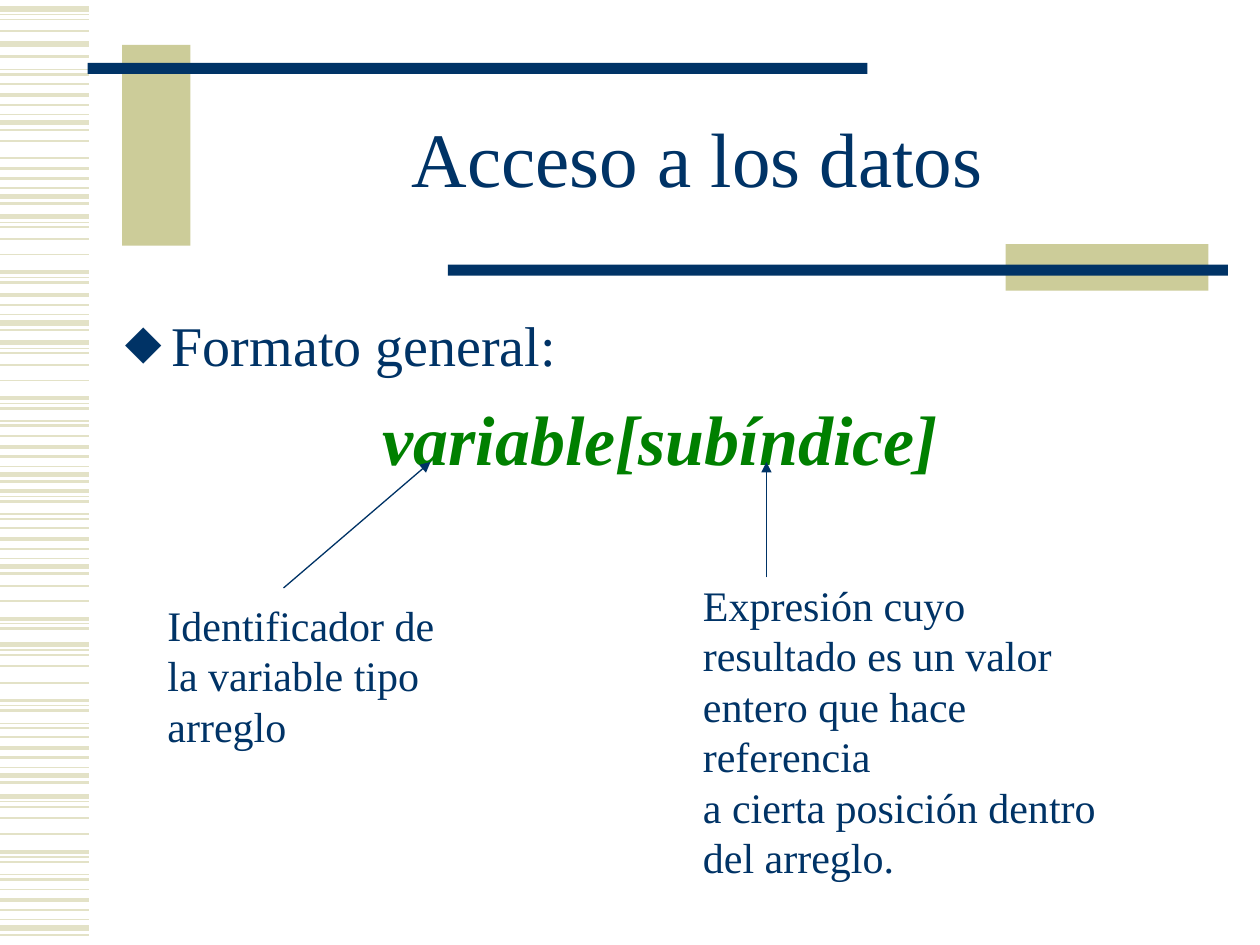
from lxml import etree
from pptx import Presentation
from pptx import util as u
from pptx.dml.color import RGBColor
from pptx.enum import shapes, text
from pptx.oxml import ns

NAVY = RGBColor(0x00, 0x33, 0x66)
OLIVE = RGBColor(0xCC, 0xCC, 0x99)
PALE = RGBColor(0xE3, 0xE2, 0xC7)
GREEN = RGBColor(0x00, 0x80, 0x00)

HEAD = [(0, 3), (3.2, 0.75), (6, 1), (12.6, 1)]
SWELL = [(0, 1), (6.1, 2.25), (11.8, 1.5), (17.3, 0.75), (22, 3), (26, 1.5)]
TAIL = [(0, 2.25), (3, 0.75), (5.8, 1.5), (13, 0.75), (15.8, 1.5)]
BANDS = [
    (HEAD, [5.2, 123.8, 195.8, 368.2, 455]),
    (SWELL, [48.2, 90.2, 249.1, 301.9, 421.2, 508.3]),
    (SWELL[1:], [162.6]),
    (TAIL, [227.5, 280.8, 400.3, 486.7]),
    (TAIL[:3], [155.5, 353.5]),
    ([(0, 1)], [80.6, 145.4, 217.4, 334.8, 343.4, 390.2, 476.6]),
    ([(0, 3), (7.2, 1.5), (14.4, 0.75), (17.3, 1.5)], [25.2]),
]


def add(parent, tag, **attrs):
    return etree.SubElement(parent, ns.qn(tag), **attrs)


def write(para, words, size=24, color=NAVY, face="Times New Roman", bold=False,
          slant=False, align=text.PP_ALIGN.LEFT, pitch=1.2, before=0,
          hang=0, mark=None):
    props = para._p.get_or_add_pPr()
    if hang:
        props.set("marL", str(u.Pt(hang)))
        props.set("indent", str(-u.Pt(hang)))
    if mark:
        tint = add(props, "a:buClr")
        add(tint, "a:srgbClr", val=str(color))
        add(props, "a:buFont", typeface=face)
        add(props, "a:buChar", char=mark)
    para.alignment = align
    para.line_spacing = u.Pt(round(size * pitch, 1))
    para.space_before = u.Pt(before)
    run = para.add_run()
    run.text = words
    font = run.font
    font.name, font.size = face, u.Pt(size)
    font.bold, font.italic = bold, slant
    font.color.rgb = color


class Deck:
    def __init__(self, width, height):
        self.show = Presentation()
        self.show.slide_width = u.Pt(width)
        self.show.slide_height = u.Pt(height)
        self.slide = self.show.slides.add_slide(self.show.slide_layouts[6])

    def bar(self, left, top, width, height, color):
        box = self.slide.shapes.add_shape(
            shapes.MSO_SHAPE.RECTANGLE, *map(u.Pt, (left, top, width, height)))
        box.shadow.inherit = False
        box.fill.solid()
        box.fill.fore_color.rgb = color
        box.line.fill.background()

    def line(self, start, end, color=NAVY, weight=0.75, arrow=False):
        link = self.slide.shapes.add_connector(
            shapes.MSO_CONNECTOR.STRAIGHT, *map(u.Pt, (*start, *end)))
        link.line.color.rgb = color
        link.line.width = u.Pt(weight)
        if arrow:
            add(link.line._get_or_add_ln(), "a:tailEnd", type="triangle")
        add(link._element.spPr, "a:effectLst")

    def text(self, left, top, width, height, items, wrap=True,
             anchor=text.MSO_ANCHOR.TOP):
        box = self.slide.shapes.add_textbox(*map(u.Pt, (left, top, width, height)))
        frame = box.text_frame
        frame.word_wrap = wrap
        frame.vertical_anchor = anchor
        for spot, (words, style) in enumerate(items):
            para = frame.add_paragraph() if spot else frame.paragraphs[0]
            write(para, words, **style)

    def note(self, left, top, width, height, lines):
        self.text(left, top, width, height, [(words, {}) for words in lines], wrap=False)


def main():
    deck = Deck(720, 540)
    for band, starts in BANDS:
        for top in starts:
            for step, weight in band:
                y = top + step
                deck.line((0, y), (51, y), PALE, weight)

    deck.bar(69.8, 25.7, 39, 114.6, OLIVE)
    deck.bar(50, 36, 445.7, 6.3, NAVY)
    deck.bar(574.6, 139.5, 116, 26.6, OLIVE)
    deck.bar(256, 151.3, 445.7, 6.3, NAVY)

    center = text.PP_ALIGN.CENTER
    deck.text(108, 48.2, 581, 90, [
        ("Acceso a los datos", dict(size=44, align=center, pitch=1.02)),
    ], anchor=text.MSO_ANCHOR.MIDDLE)
    deck.text(64.1, 174.2, 626.4, 305.3, [
        ("Formato general:", dict(size=32, hang=27, mark="⬥")),
        ("variable[subíndice]", dict(size=40, color=GREEN, bold=True, slant=True,
                                     align=center, before=10, hang=27)),
    ])

    deck.line((162, 336), (246, 264), arrow=True)
    deck.line((438, 330), (438, 264), arrow=True)
    deck.note(88.6, 339, 167, 93.6,
              ["Identificador de", "la variable tipo", "arreglo"])
    deck.note(394.6, 327.6, 266.4, 151.2,
              ["Expresión cuyo", "resultado es un valor", "entero que hace referencia",
               "a cierta posición dentro", "del arreglo."])
    deck.show.save("out.pptx")


if __name__ == "__main__":
    main()
